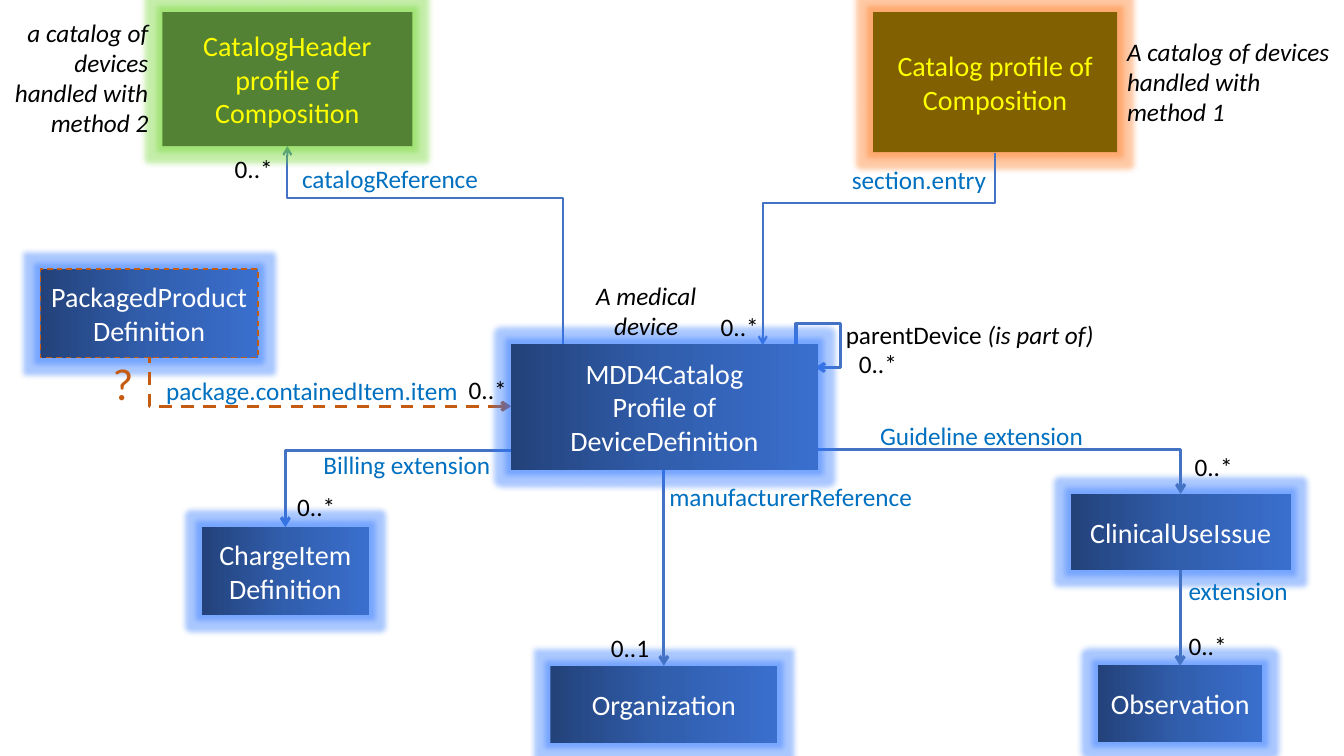
"""Build the device catalog model slide with its boxes, links and labels."""
from copy import deepcopy

from pptx import Presentation
from pptx.dml.color import RGBColor
from pptx.enum.dml import MSO_LINE
from pptx.enum.shapes import MSO_CONNECTOR, MSO_SHAPE
from pptx.enum.text import MSO_ANCHOR, MSO_AUTO_SIZE, PP_ALIGN
from pptx.oxml import parse_xml
from pptx.oxml.ns import nsdecls, qn
from pptx.oxml.xmlchemy import OxmlElement
from pptx.util import Pt

PX = 9144
THEME = {
    "font": "Calibri", "box": 20, "label": 18, "query": 32,
    "white": "FFFFFF", "black": "000000", "yellow": "FFFF00",
    "blue": "0070C0", "link": "4472C4", "rust": "C55A11",
    "green": "548235", "brown": "806000",
    "fade": ("23427A", "315EAD", "3A6FCE"),
    "glow": {"fade": "2B75FF", "green": "6DD529", "brown": "FF7A1F"},
}
LEFT, MID, RIGHT = PP_ALIGN.LEFT, PP_ALIGN.CENTER, PP_ALIGN.RIGHT


def rgb(name):
    return RGBColor.from_string(THEME.get(name, name))


def write(frame, paras, align, size, tone):
    frame.word_wrap = True
    for i, runs in enumerate(paras):
        para = frame.add_paragraph() if i else frame.paragraphs[0]
        para.alignment = align
        for text, slant in runs:
            run = para.add_run()
            run.text = text
            style = {"name": THEME["font"], "size": Pt(THEME[size]), "italic": slant}
            for key, value in style.items():
                setattr(run.font, key, value)
            run.font.color.rgb = rgb(tone)


UNDER = [
    (1062, 490, 218, 76, "fade", "white", ["ClinicalUseIssue"]),
    (546, 661, 225, 76, "fade", "white", ["Organization"]),
    (866, 12, 242, 139, "brown", "yellow", ["Catalog profile of Composition"]),
    (1089, 660, 163, 76, "fade", "white", ["Observation"]),
    (40, 267, 216, 88, "fade", "white", ["PackagedProductDefinition"]),
]
OVER = [
    (161, 12, 248, 133, "green", "yellow", ["CatalogHeader profile of Composition"]),
    (200, 523, 166, 87, "fade", "white", ["ChargeItemDefinition"]),
    (507, 341, 304, 125, "fade", "white",
     ["MDD4Catalog", "Profile of DeviceDefinition"]),
]
LINKS = [
    (790, 346, 18, 19, 270, "h", 4, (-1.41, 2.34), "tailEnd", "link", 2.25),
    (810, 446, 361, 44, 0, "", 2, (), "tailEnd", "link", 2.25),
    (561, 563, 195, 0, 270, "h", 3, (0.5,), "tailEnd", "link", 2.25),
    (323, 107, 197, 273, 270, "v", 3, (0.74,), "tailEnd", "link", 1.5),
    (776, 132, 191, 230, 90, "hv", 3, (0.74,), "headEnd", "link", 1.5),
    (1123, 613, 95, 0, 90, "", 3, (0.5,), "tailEnd", "link", 2.25),
    (283, 447, 225, 76, 180, "v", 2, (), "tailEnd", "link", 2.25),
    (148, 354, 359, 49, 180, "", 2, (), "headEnd", "rust", 2.25),
]
LABELS = [
    (563, 273, 156, 71, MID, "black", [("A medical device", True)]),
    (829, 312, 375, 40, LEFT, "black",
     [("parentDevice ", False), ("(is part of)", True)]),
    (863, 412, 236, 40, LEFT, "blue", [("Guideline extension", False)]),
    (654, 473, 281, 40, LEFT, "blue", [("manufacturerReference", False)]),
    (596, 622, 63, 40, LEFT, "black", [("0..1", False)]),
    (273, 157, 211, 40, RIGHT, "blue", [("catalogReference", False)]),
    (-3, 12, 160, 131, RIGHT, "black",
     [("a catalog of devices handled with method 2", True)]),
    (1108, 31, 224, 101, LEFT, "black",
     [("A catalog of devices handled with method 1", True)]),
    (835, 158, 171, 40, LEFT, "blue", [("section.entry", False)]),
    (1169, 566, 132, 40, LEFT, "blue", [("extension", False)]),
    (311, 441, 190, 40, LEFT, "blue", [("Billing extension", False)]),
    (155, 367, 311, 40, LEFT, "blue", [("package.containedItem.item", False)]),
    (102, 348, 63, 64, LEFT, "rust", [("?", False)]),
]
MANY = [(842, 341), (1175, 443), (223, 147), (705, 304),
        (1169, 620), (285, 483), (455, 366)]
LABELS += [(x, y, 70, 40, LEFT, "black", [("0..*", False)]) for x, y in MANY]

deck = Presentation()
deck.slide_width, deck.slide_height = 1333 * PX, 750 * PX
slide = deck.slides.add_slide(deck.slide_layouts[6])
shapes = slide.shapes

for group in (UNDER, OVER):
    for *place, paint, tone, lines in group:
        box = shapes.add_shape(MSO_SHAPE.RECTANGLE, *[n * PX for n in place])
        box.shadow.inherit = False
        props = box._element.spPr
        if paint == "fade":
            box.fill.gradient()
            box.fill.gradient_angle = 0
            stops = props.find(".//" + qn("a:gsLst"))
            stops.insert(1, deepcopy(stops[0]))
            for i, stop in enumerate(box.fill.gradient_stops):
                stop.position = i / 2
                stop.color.rgb = rgb(THEME["fade"][i])
        else:
            box.fill.solid()
            box.fill.fore_color.rgb = rgb(paint)
        if lines[0].startswith("Packaged"):
            box.line.color.rgb = rgb("rust")
            box.line.width = Pt(1)
            box.line.dash_style = MSO_LINE.DASH
        else:
            box.line.fill.background()
        props.find(qn("a:effectLst")).append(parse_xml(
            f'<a:glow {nsdecls("a")} rad="101600"><a:srgbClr val="{THEME["glow"][paint]}">'
            '<a:alpha val="40000"/></a:srgbClr></a:glow>'))
        box.text_frame.vertical_anchor = MSO_ANCHOR.MIDDLE
        write(box.text_frame, [[(text, False)] for text in lines], MID, "box", tone)

    if group is OVER:
        continue
    for x, y, w, h, turn, flip, kind, bends, end, tone, width in LINKS:
        xs = (x + w, x) if "h" in flip else (x, x + w)
        ys = (y + h, y) if "v" in flip else (y, y + h)
        ends = (xs[0], ys[0], xs[1], ys[1])
        link = shapes.add_connector(MSO_CONNECTOR.ELBOW, *[n * PX for n in ends])
        props = link._element.spPr
        props.find(qn("a:xfrm")).set("rot", str(turn * 60000))
        geom = props.find(qn("a:prstGeom"))
        geom.set("prst", f"bentConnector{kind}")
        guides = geom.find(qn("a:avLst"))
        for i, bend in enumerate(bends, 1):
            guide = OxmlElement("a:gd")
            guide.set("name", f"adj{i}" if kind > 2 else "adj")
            guide.set("fmla", f"val {round(bend * 100000)}")
            guides.append(guide)
        link.line.color.rgb = rgb(tone)
        link.line.width = Pt(width)
        if tone == "rust":
            link.line.dash_style = MSO_LINE.DASH
        tip = OxmlElement(f"a:{end}")
        tip.set("type", "arrow")
        props.find(qn("a:ln")).append(tip)
        props.append(OxmlElement("a:effectLst"))

for *place, align, tone, runs in LABELS:
    label = shapes.add_textbox(*[n * PX for n in place])
    size = "query" if tone == "rust" else "label"
    write(label.text_frame, [runs], align, size, tone)
    label.text_frame.auto_size = MSO_AUTO_SIZE.SHAPE_TO_FIT_TEXT

deck.save("out.pptx")
